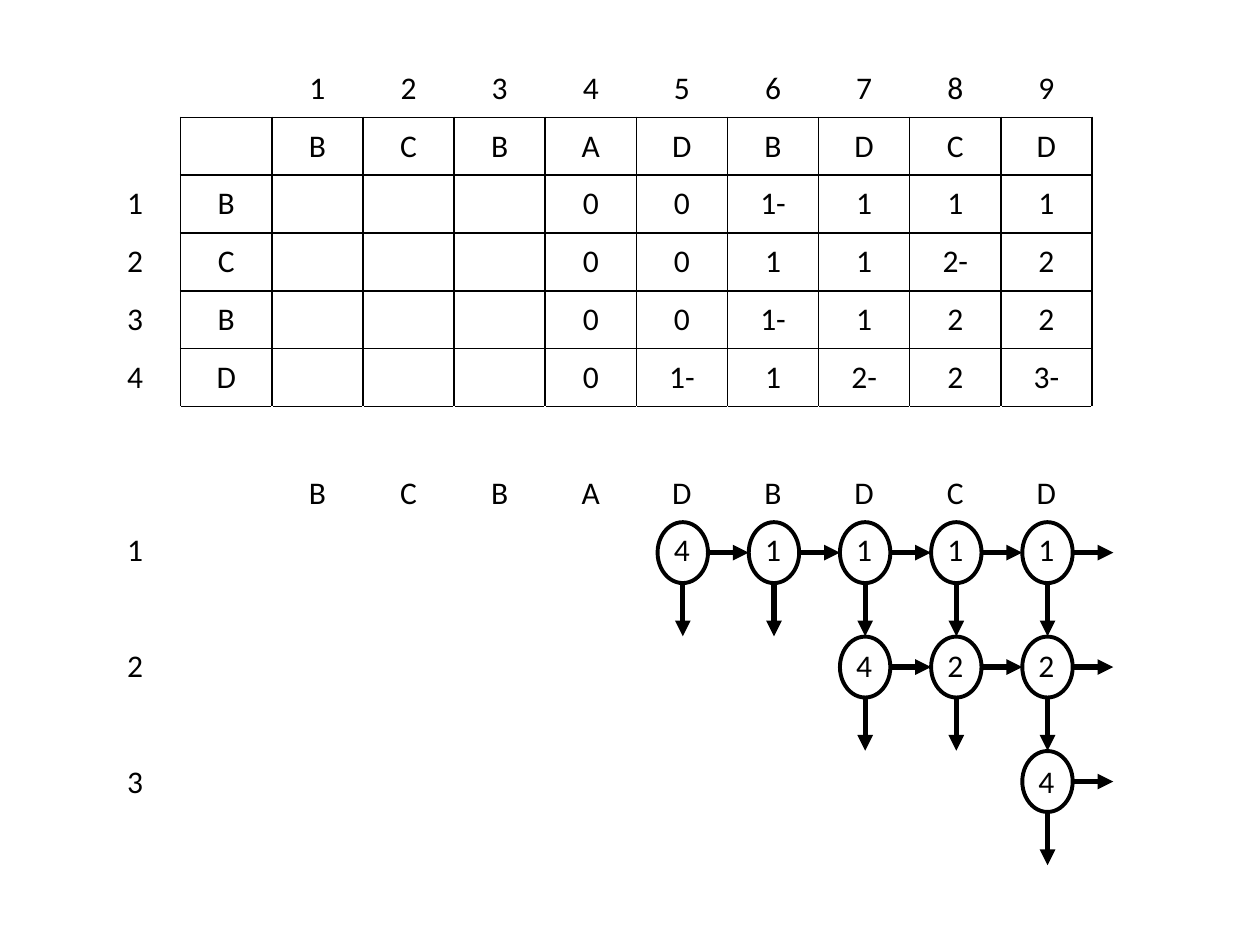
import dataclasses

import lxml.etree
import pptx
import pptx.dml.color
import pptx.enum.shapes
import pptx.enum.text
import pptx.oxml.ns
import pptx.util

Pt = pptx.util.Pt
qn = pptx.oxml.ns.qn


@dataclasses.dataclass(frozen=True)
class Theme:
    ink: str = "000000"
    paper: str = "FFFFFF"
    font: str = "Calibri"
    text_size: float = 18
    border: float = 1
    ring: float = 2.25
    arrow: float = 3


theme = Theme()
ink = pptx.dml.color.RGBColor.from_string(theme.ink)


def add_border(cell, side, color):
    line = lxml.etree.SubElement(
        cell._tc.get_or_add_tcPr(), qn(f"a:ln{side}"), w=str(Pt(theme.border))
    )
    fill = lxml.etree.SubElement(line, qn("a:solidFill"))
    lxml.etree.SubElement(fill, qn("a:srgbClr"), val=color)


def add_arrow(shapes, x, y, dx, dy):
    arrow = shapes.add_connector(
        pptx.enum.shapes.MSO_CONNECTOR.STRAIGHT, Pt(x), Pt(y), Pt(x + dx), Pt(y + dy)
    )
    arrow.line.color.rgb = ink
    arrow.line.width = Pt(theme.arrow)
    lxml.etree.SubElement(arrow.line._get_or_add_ln(), qn("a:tailEnd"), type="triangle")
    lxml.etree.SubElement(arrow._element.spPr, qn("a:effectLst"))


prs = pptx.Presentation()
prs.slide_width, prs.slide_height = Pt(720), Pt(540)
slide = prs.slides.add_slide(prs.slide_layouts[6])

# Subsequence table and node labels; a dot marks an empty cell
rows = [
    row.split()
    for row in (
        ". . 1 2 3 4 5 6 7 8 9",
        ". . B C B A D B D C D",
        "1 B . . . 0 0 1- 1 1 1",
        "2 C . . . 0 0 1 1 2- 2",
        "3 B . . . 0 0 1- 1 2 2",
        "4 D . . . 0 1- 1 2- 2 3-",
        ". . . . . . . . . . .",
        ". . B C B A D B D C D",
        "1 . . . . . 4 1 1 1 1",
        ". . . . . . . . . . .",
        "2 . . . . . . . 4 2 2",
        ". . . . . . . . . . .",
        "3 . . . . . . . . . 4",
    )
]
left, top, col_width, row_height = 51.2, 34, 52.1, 33.06
framed = {(r, c) for r in range(1, 6) for c in range(1, 11)}
neighbours = {"L": (0, -1), "R": (0, 1), "T": (-1, 0), "B": (1, 0)}

table = slide.shapes.add_table(
    len(rows), len(rows[0]), Pt(left), Pt(top),
    Pt(col_width * len(rows[0])), Pt(row_height * len(rows)),
).table
table.first_row = table.horz_banding = False
for column in table.columns:
    column.width = Pt(col_width)
for r, row in enumerate(rows):
    table.rows[r].height = Pt(row_height)
    for c, entry in enumerate(row):
        cell = table.cell(r, c)
        cell.vertical_anchor = pptx.enum.text.MSO_ANCHOR.MIDDLE
        if r <= 6:
            for side, (dr, dc) in neighbours.items():
                on_frame = framed & {(r, c), (r + dr, c + dc)}
                add_border(cell, side, theme.ink if on_frame else theme.paper)
        cell.fill.background()
        if entry != ".":
            paragraph = cell.text_frame.paragraphs[0]
            paragraph.alignment = pptx.enum.text.PP_ALIGN.CENTER
            run = paragraph.add_run()
            run.text = entry
            run.font.name = theme.font
            run.font.size = Pt(theme.text_size)
            run.font.color.rgb = ink

# Rings with arrows to the right and down, grouped by (column, levels)
node_groups = [
    (6, [0]), (7, [0]), (8, [0]), (8, [1]), (9, [0]), (9, [1]), (10, [0, 1, 2]),
]
ring_width, ring_height = 28.8, 34.8
first_x, first_y, level_gap = 390.2, 315.8, 65.4
for column, levels in node_groups:
    group = slide.shapes.add_group_shape()
    x = first_x + (column - 6) * col_width
    for level in levels:
        y = first_y + level * level_gap
        ring = group.shapes.add_shape(
            pptx.enum.shapes.MSO_SHAPE.OVAL,
            Pt(x - ring_width / 2), Pt(y - ring_height / 2),
            Pt(ring_width), Pt(ring_height),
        )
        ring.shadow.inherit = False
        ring.fill.background()
        ring.line.color.rgb = ink
        ring.line.width = Pt(theme.ring)
        add_arrow(group.shapes, x + ring_width / 2, y, 23.2, 0)
        add_arrow(group.shapes, x, y + ring_height / 2, 0, 30.4)

prs.save("out.pptx")
